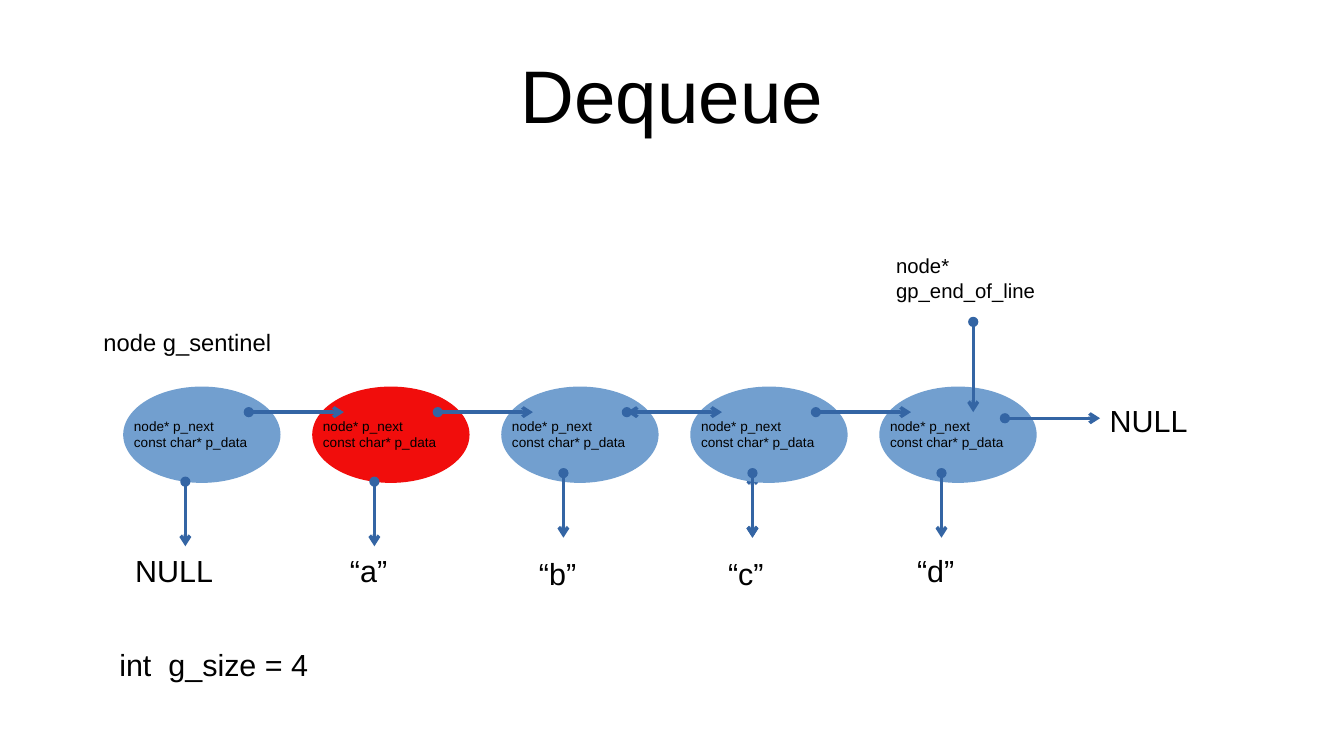
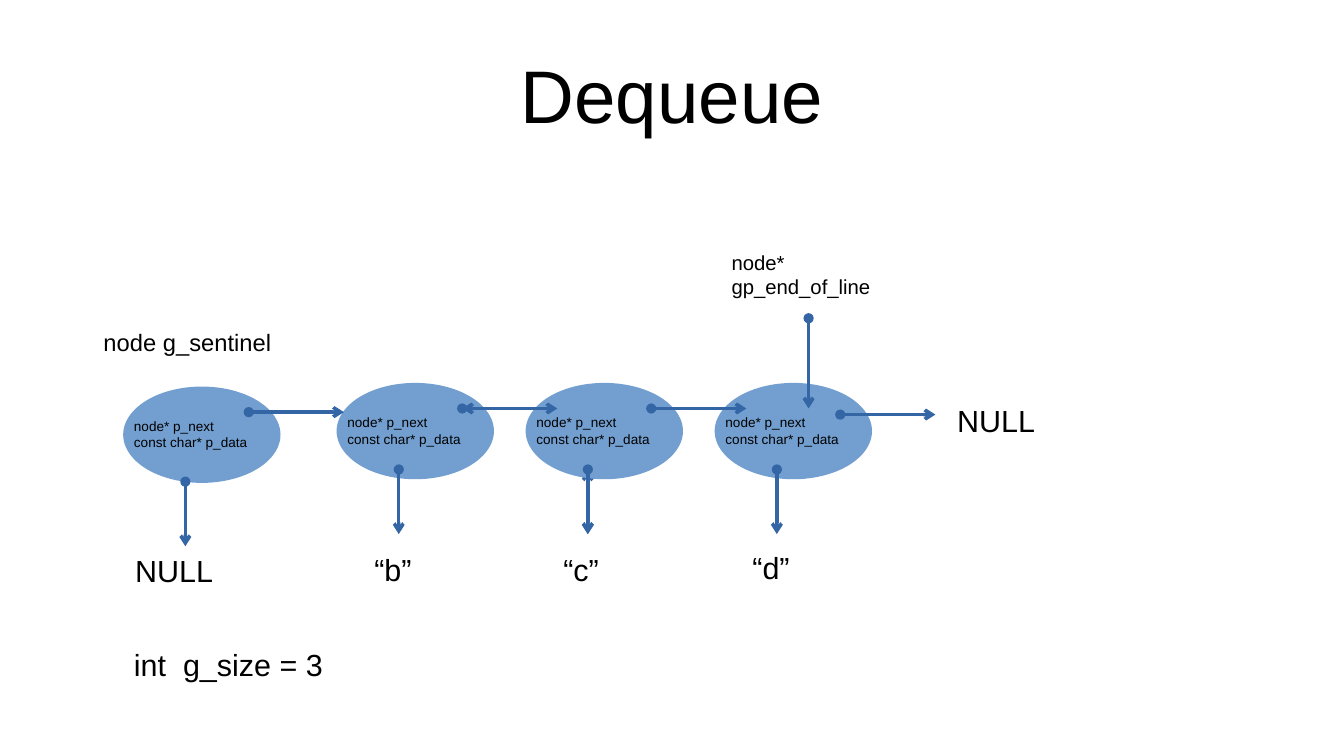
"""Builds two slides that show a linked queue before and after a dequeue."""
from lxml import etree
from pptx import Presentation
from pptx.dml.color import RGBColor
from pptx.enum.shapes import MSO_CONNECTOR, MSO_SHAPE
from pptx.enum.text import MSO_ANCHOR, PP_ALIGN
from pptx.oxml.ns import qn
from pptx.util import Inches, Pt

STRAIGHT = MSO_CONNECTOR.STRAIGHT
OVAL = MSO_SHAPE.OVAL
LEFT, CENTER = PP_ALIGN.LEFT, PP_ALIGN.CENTER
TOP, MIDDLE = MSO_ANCHOR.TOP, MSO_ANCHOR.MIDDLE

BLUE, RED, INK, BLACK = "729FCF", "F10D0C", "3465A4", "000000"
FONT = "Arial"
STEP = 1.55
BASE = 3.17
FIRST = 1.01


def color(code):
    return RGBColor.from_string(code)


class Deck:
    def __init__(self):
        self.prs = Presentation()
        self.prs.slide_width = Inches(11.02)
        self.prs.slide_height = Inches(6.2)

    def start(self, title):
        self.slide = self.prs.slides.add_slide(self.prs.slide_layouts[6])
        self.label(title, 0.55, 0.25, w=9.92, h=1.04, size=44,
                   align=CENTER, anchor=MIDDLE, pad=(0, 0))

    def label(self, text, x, y, w=1.03, h=0.52, size=18, align=LEFT,
              anchor=TOP, pad=(0.1, 0.05), indent=0):
        box = self.slide.shapes.add_textbox(
            Inches(x), Inches(y), Inches(w), Inches(h))
        frame = box.text_frame
        frame.word_wrap = True
        frame.vertical_anchor = anchor
        frame.margin_left = Inches(pad[0] + indent)
        frame.margin_right = Inches(pad[0])
        frame.margin_top = frame.margin_bottom = Inches(pad[1])
        frame.text = text
        for para in frame.paragraphs:
            para.alignment = align
            for run in para.runs:
                run.font.name = FONT
                run.font.size = Pt(size)
                run.font.color.rgb = color(BLACK)

    def arrow(self, x, y, dx=0, dy=0, head="oval"):
        line = self.slide.shapes.add_connector(
            STRAIGHT, Inches(x), Inches(y), Inches(x + dx), Inches(y + dy))
        line.line.color.rgb = color(INK)
        line.line.width = Pt(0)
        props = line._element.spPr
        stroke = props.find(qn("a:ln"))
        for tag, kind in (("a:headEnd", head), ("a:tailEnd", "arrow")):
            etree.SubElement(stroke, qn(tag)).set("type", kind)
        etree.SubElement(props, qn("a:effectLst"))

    def link(self, x, y, drop=0.21, head="oval"):
        self.arrow(x + 1.03, y + drop, dx=0.78, head=head)

    def data(self, x, y, drop=0.71, head="oval"):
        self.arrow(x + 0.51, y + drop, dy=0.53, head=head)

    def node(self, x, y, fill=BLUE):
        shape = self.slide.shapes.add_shape(
            OVAL, Inches(x), Inches(y), Inches(1.29), Inches(0.79))
        shape.shadow.inherit = False
        shape.fill.solid()
        shape.fill.fore_color.rgb = color(fill)
        shape.line.fill.background()
        self.label("node* p_next\nconst char* p_data", x - 0.01, y + 0.21,
                   w=1.3, h=0.5, size=8)

    def queue(self, words, start, y, null, size):
        spots = [(FIRST, BASE)]
        spots += [(start + STEP * i, y) for i in range(len(words))]
        for (x, top), word in zip(spots, ["NULL"] + words):
            if word == "c":
                self.link(x - STEP, top, head="arrow")
                self.data(x, top, head="arrow")
            self.node(x, top, fill=RED if word == "a" else BLUE)
            self.data(x, top, drop=0.78 if word in ("NULL", "a") else 0.71)
            text = word if word == "NULL" else f"“{word}”"
            self.label(text, x, top + (1.33 if word in "bc" else 1.31),
                       indent=0 if word == "NULL" else 0.21)
        for x, top in spots[:-1]:
            self.link(x, top)
        x, top = spots[-1]
        self.link(x, top, drop=0.26)
        self.arrow(x + 0.77, top - 0.53, dy=0.74)
        self.label("node*\ngp_end_of_line", x + 0.04, top - 1.14,
                   w=1.5, h=0.47, size=12)
        self.label("NULL", null, 3.25, w=1, h=0.38)
        self.label("node g_sentinel", 0.75, 2.64, w=1.81, size=14)
        self.label(f"int  g_size = {len(words)}", size, 5.25, w=2.1, h=0.39)


deck = Deck()
for words, start, y, null, size in (
        (["a", "b", "c", "d"], FIRST + STEP, BASE, 9, 0.88),
        (["b", "c", "d"], 2.76, 3.14, 7.75, 1)):
    deck.start("Dequeue")
    deck.queue(words, start, y, null, size)
deck.prs.save("out.pptx")
